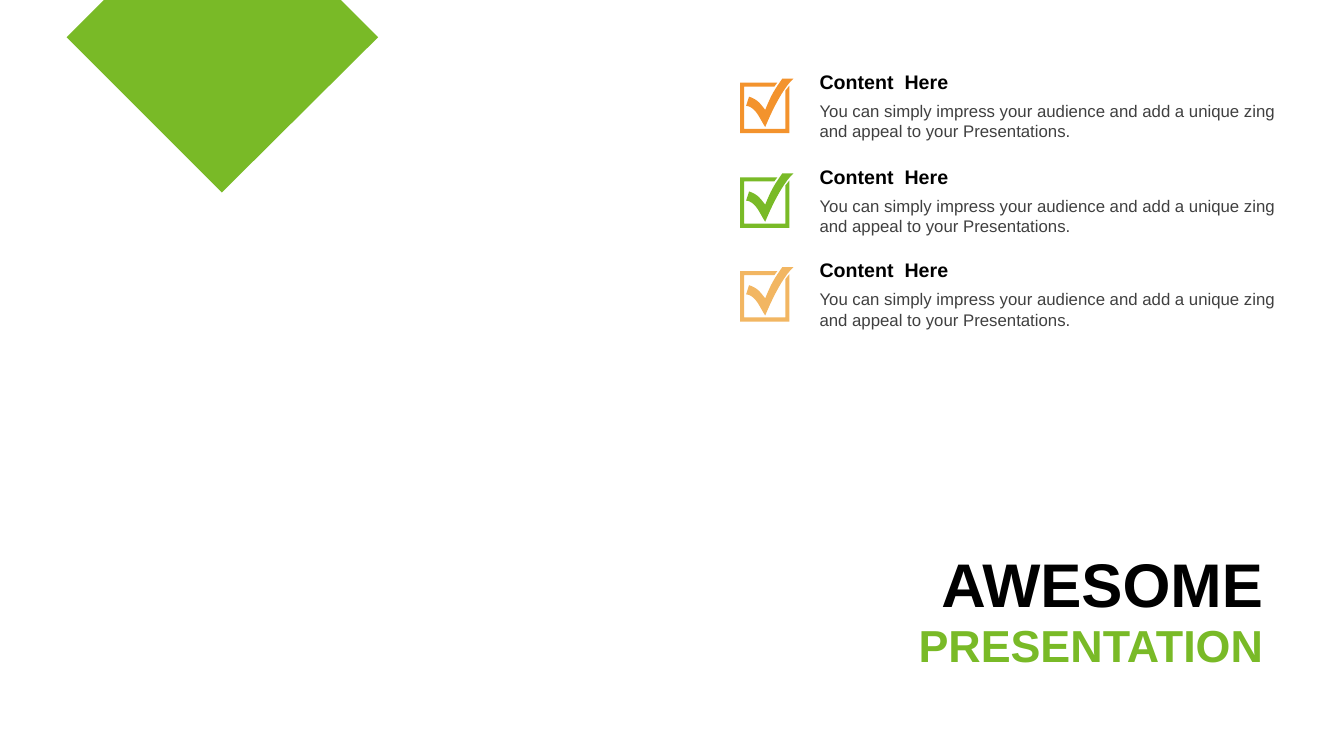
from pptx import Presentation
from pptx.dml.color import RGBColor
from pptx.enum.text import MSO_ANCHOR, MSO_AUTO_SIZE, PP_ALIGN
from pptx.util import Pt

PX = 9144  # 100 px to the inch

THEME = {
    "font": "Arial",
    "black": "000000",
    "grey": "404040",
    "green": "79BA27",
    "orange": "F3932D",
    "amber": "F2B662",
    "title": 44,
    "subtitle": 32,
    "heading": 14,
    "detail": 12,
}


def write_text(box, area, text, size, color, bold, align, anchor):
    """Place a text shape and fill it with one formatted run."""
    box.left, box.top, box.width, box.height = [value * PX for value in area]
    frame = box.text_frame
    frame.word_wrap = True
    frame.auto_size = MSO_AUTO_SIZE.NONE
    frame.vertical_anchor = anchor
    para = frame.paragraphs[0]
    para.alignment = align
    para.space_before = Pt(0)
    span = para.add_run()
    span.text = text
    span.font.name = THEME["font"]
    span.font.size = Pt(THEME[size])
    span.font.bold = bold
    span.font.color.rgb = RGBColor.from_string(THEME[color])


def draw_outline(page, contours, left, top, color):
    """Draw closed contours as one filled shape, offset by left and top."""
    placed = [[((left + x) * PX, (top + y) * PX) for x, y in contour]
              for contour in contours]
    builder = page.shapes.build_freeform(*placed[0][0])
    builder.add_line_segments(placed[0][1:], close=True)
    for contour in placed[1:]:
        builder.move_to(*contour[0])
        builder.add_line_segments(contour[1:], close=True)
    shape = builder.convert_to_shape()
    shape.shadow.inherit = False
    shape.fill.solid()
    shape.fill.fore_color.rgb = RGBColor.from_string(THEME[color])
    shape.line.fill.background()


deck = Presentation()
deck.slide_width, deck.slide_height = 1333 * PX, 750 * PX
page = deck.slides.add_slide(deck.slide_layouts[0])

# Title and subtitle
write_text(page.shapes.title, (888, 536, 375, 84), "AWESOME",
           "title", "black", True, PP_ALIGN.RIGHT, MSO_ANCHOR.MIDDLE)
write_text(page.placeholders[1], (888, 607, 375, 64), "PRESENTATION",
           "subtitle", "green", True, PP_ALIGN.RIGHT, MSO_ANCHOR.MIDDLE)

# Diamond cut off by the top edge
draw_outline(page, [[(37, 0), (272, 0), (309, 37), (154, 191), (0, 37)]],
             66, 0, "green")

# Check box icon: open frame, and a tick made of Bezier curves
box_frame = [(0, 4), (37, 4), (34, 8), (4, 8), (4, 50), (45, 50),
             (45, 12), (49, 7), (49, 54), (0, 54)]
tick_curves = [
    ((53, 0), (43, 9), (32, 31), (25, 48)),
    ((25, 48), (20, 41), (16, 28), (6, 27)),
    ((9, 18), (18, 21), (20, 25), (25, 31)),
    ((25, 31), (30, 19), (32, 14), (42, 0)),
]
STEPS = 10
tick = []
for curve in tick_curves:
    for step in range(STEPS + 1):
        t = step / STEPS
        weights = ((1 - t) ** 3, 3 * t * (1 - t) ** 2, 3 * t ** 2 * (1 - t), t ** 3)
        tick.append(tuple(sum(weight * point[axis] for weight, point in zip(weights, curve))
                          for axis in (0, 1)))

# Checklist rows
ROW_PITCH = 93.5
for row, color in enumerate(("orange", "green", "amber")):
    top = 64 + round(row * ROW_PITCH)
    draw_outline(page, [box_frame, tick], 734, top + 14, color)
    write_text(page.shapes.add_textbox(0, 0, 0, 0), (803, top, 482, 34),
               "Content  Here", "heading", "black", True,
               PP_ALIGN.LEFT, MSO_ANCHOR.MIDDLE)
    write_text(page.shapes.add_textbox(0, 0, 0, 0), (803, top + 31, 482, 50),
               "You can simply impress your audience and add a unique zing "
               "and appeal to your Presentations.", "detail", "grey", False,
               PP_ALIGN.LEFT, MSO_ANCHOR.TOP)

deck.save("out.pptx")
